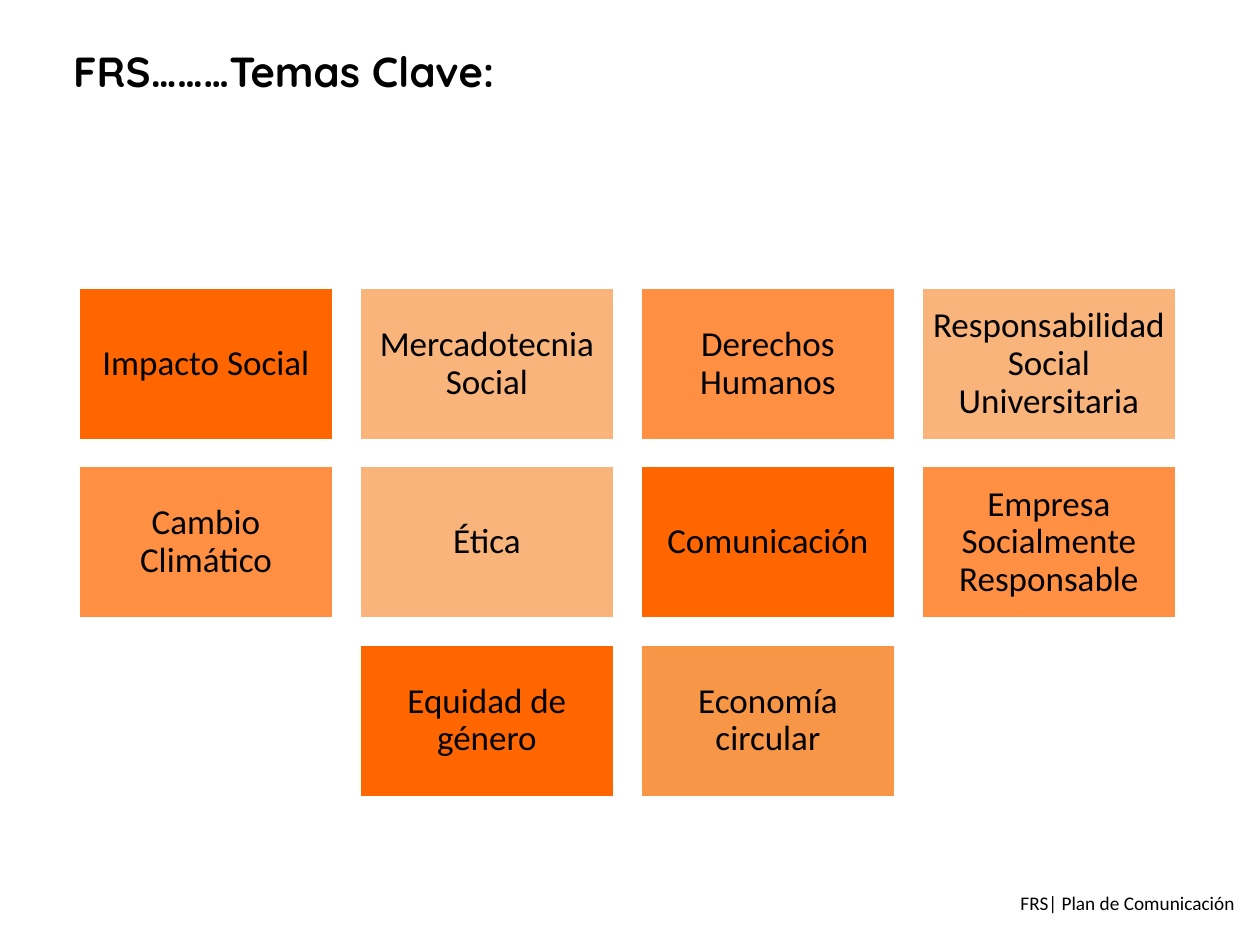
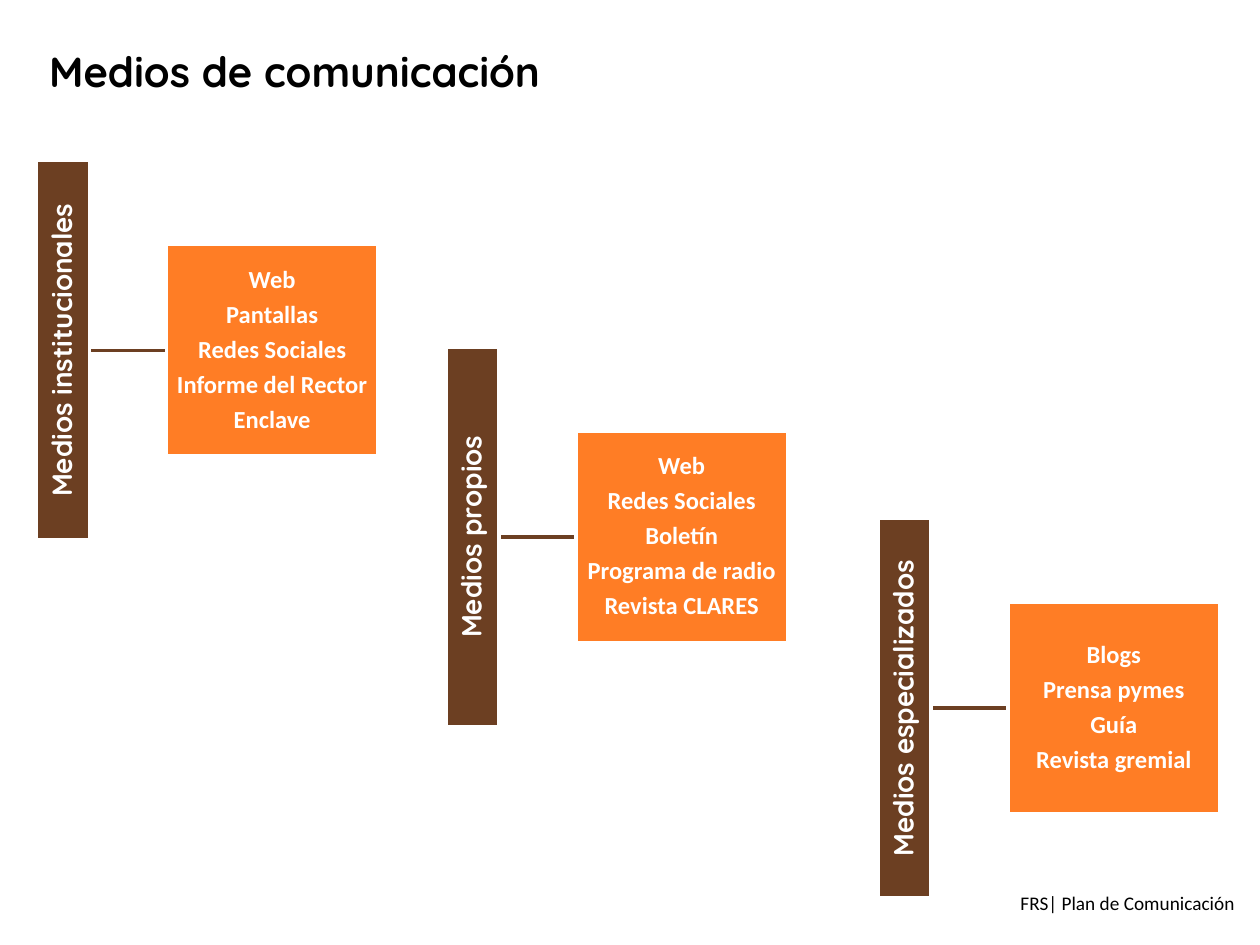
from lxml import etree
from pptx import Presentation
from pptx.dml.color import RGBColor
from pptx.enum.shapes import MSO_CONNECTOR, MSO_SHAPE
from pptx.enum.text import MSO_ANCHOR, MSO_AUTO_SIZE, PP_ALIGN
from pptx.oxml.ns import qn
from pptx.util import Inches, Pt

RECT = MSO_SHAPE.RECTANGLE
STRAIGHT = MSO_CONNECTOR.STRAIGHT
CENTER, LEFT = PP_ALIGN.CENTER, PP_ALIGN.LEFT
TOP, MIDDLE, BOTTOM = MSO_ANCHOR.TOP, MSO_ANCHOR.MIDDLE, MSO_ANCHOR.BOTTOM

BLACK = RGBColor(0x00, 0x00, 0x00)
WHITE = RGBColor(0xFF, 0xFF, 0xFF)
BROWN = RGBColor(0x6C, 0x3F, 0x22)
MEDIA_ORANGE = RGBColor(0xFF, 0x7D, 0x25)
STRONG = RGBColor(0xFF, 0x66, 0x00)
MEDIUM = RGBColor(0xFF, 0x8F, 0x43)
PALE = RGBColor(0xF9, 0xB4, 0x7B)
AMBER = RGBColor(0xF7, 0x96, 0x46)

BODY_FONT, HEAD_FONT = "Calibri", "Quicksand"
TITLE_ONLY = 5

COLUMNS = 4
GRID_LEFT, GRID_TOP = 0.62, 2.28
TILE_W, TILE_H = 2.03, 1.22
COL_STEP, ROW_STEP = 2.23, 1.415
TOPICS = [
    [("Impacto Social", STRONG), ("Mercadotecnia Social", PALE),
     ("Derechos Humanos", MEDIUM), ("Responsabilidad Social Universitaria", PALE)],
    [("Cambio Climático", MEDIUM), ("Ética", PALE),
     ("Comunicación", STRONG), ("Empresa Socialmente Responsable", MEDIUM)],
    [("Equidad de género", STRONG), ("Economía circular", AMBER)],
]

BOX_SIDE = 1.68
BAR_W, BAR_H = 0.42, 3.01
BAR_TO_BOX = 1.03
MEDIA = [
    ("Medios institucionales", 1.32, 1.94,
     ["Web", "Pantallas", "Redes Sociales", "Informe del Rector", "Enclave"]),
    ("Medios propios", 4.57, 3.42,
     ["Web", "Redes Sociales", "Boletín", "Programa de radio", "Revista CLARES"]),
    ("Medios especializados", 8, 4.78,
     ["Blogs", "Prensa pymes", "Guía", "Revista gremial"]),
]


def format_text(tf, font, size, color, bold=False, align=CENTER, spacing=None):
    for p in tf.paragraphs:
        p.alignment = align
        p.line_spacing = spacing
        for r in p.runs:
            r.font.name = font
            r.font.size = Pt(size)
            r.font.bold = bold
            r.font.color.rgb = color


def set_frame(tf, anchor, inset_x, inset_y):
    tf.word_wrap = True
    tf.auto_size = MSO_AUTO_SIZE.NONE
    tf.vertical_anchor = anchor
    tf.margin_left = tf.margin_right = Inches(inset_x)
    tf.margin_top = tf.margin_bottom = Inches(inset_y)


def add_box(s, text, left, top, width, height, fill, inset, anchor=MIDDLE, outlined=True):
    sp = s.shapes.add_shape(RECT, Inches(left), Inches(top), Inches(width), Inches(height))
    sp.shadow.inherit = False
    sp.fill.solid()
    sp.fill.fore_color.rgb = fill
    if outlined:
        sp.line.color.rgb = WHITE
        sp.line.width = Pt(2)
    else:
        sp.line.fill.background()
    sp.text_frame.text = text
    set_frame(sp.text_frame, anchor, inset, inset)
    return sp


def add_base_slide(prs, title, title_left):
    s = prs.slides.add_slide(prs.slide_layouts[TITLE_ONLY])
    footer = add_box(s, "FRS| Plan de Comunicación", 7.9, 6.66, 2.1, 0.65,
                     WHITE, 0.05, BOTTOM, outlined=False)
    format_text(footer.text_frame, BODY_FONT, 11, BLACK)
    sp = s.shapes.title
    sp.left, sp.top = Inches(title_left), Inches(0.32)
    sp.width, sp.height = Inches(9), Inches(0.48)
    sp.text_frame.text = title
    set_frame(sp.text_frame, TOP, 0.07, 0.04)
    format_text(sp.text_frame, HEAD_FONT, 24, BLACK, bold=True, align=LEFT)
    return s


def add_topic_grid(s):
    for row, topics in enumerate(TOPICS):
        first_col = (COLUMNS - len(topics)) / 2
        for col, (topic, fill) in enumerate(topics, 1):
            left = GRID_LEFT + (first_col + col - 1) * COL_STEP
            sp = add_box(s, topic, left, GRID_TOP + row * ROW_STEP, TILE_W, TILE_H, fill, 0.08)
            format_text(sp.text_frame, BODY_FONT, 20, BLACK, spacing=0.9)


def add_link(s):
    link = s.shapes.add_connector(STRAIGHT, 0, 0, 0, 0)
    link.line.color.rgb = BROWN
    link.line.width = Pt(2)
    etree.SubElement(link._element.spPr, qn("a:effectLst"))
    return link


def add_media_group(s, name, left, top, channels):
    link = add_link(s)
    bar = add_box(s, name, left - BAR_TO_BOX, top + (BOX_SIDE - BAR_H) / 2,
                  BAR_W, BAR_H, BROWN, 0.01)
    bar.text_frame._txBody.bodyPr.set("vert", "vert270")
    format_text(bar.text_frame, HEAD_FONT, 16, WHITE, bold=True, spacing=0.9)
    box = add_box(s, "\n".join(channels), left, top, BOX_SIDE, BOX_SIDE, MEDIA_ORANGE, 0.01)
    format_text(box.text_frame, BODY_FONT, 14, WHITE, bold=True, spacing=0.9)
    for p in box.text_frame.paragraphs[:-1]:
        p.space_after = Pt(4.9)
    link.begin_connect(bar, 3)
    link.end_connect(box, 1)


def main():
    prs = Presentation()
    prs.slide_width, prs.slide_height = Inches(10), Inches(7.5)
    add_topic_grid(add_base_slide(prs, "FRS………Temas Clave:", 0.51))
    s = add_base_slide(prs, "Medios de comunicación", 0.32)
    for group in MEDIA:
        add_media_group(s, *group)
    prs.save("out.pptx")


if __name__ == "__main__":
    main()
